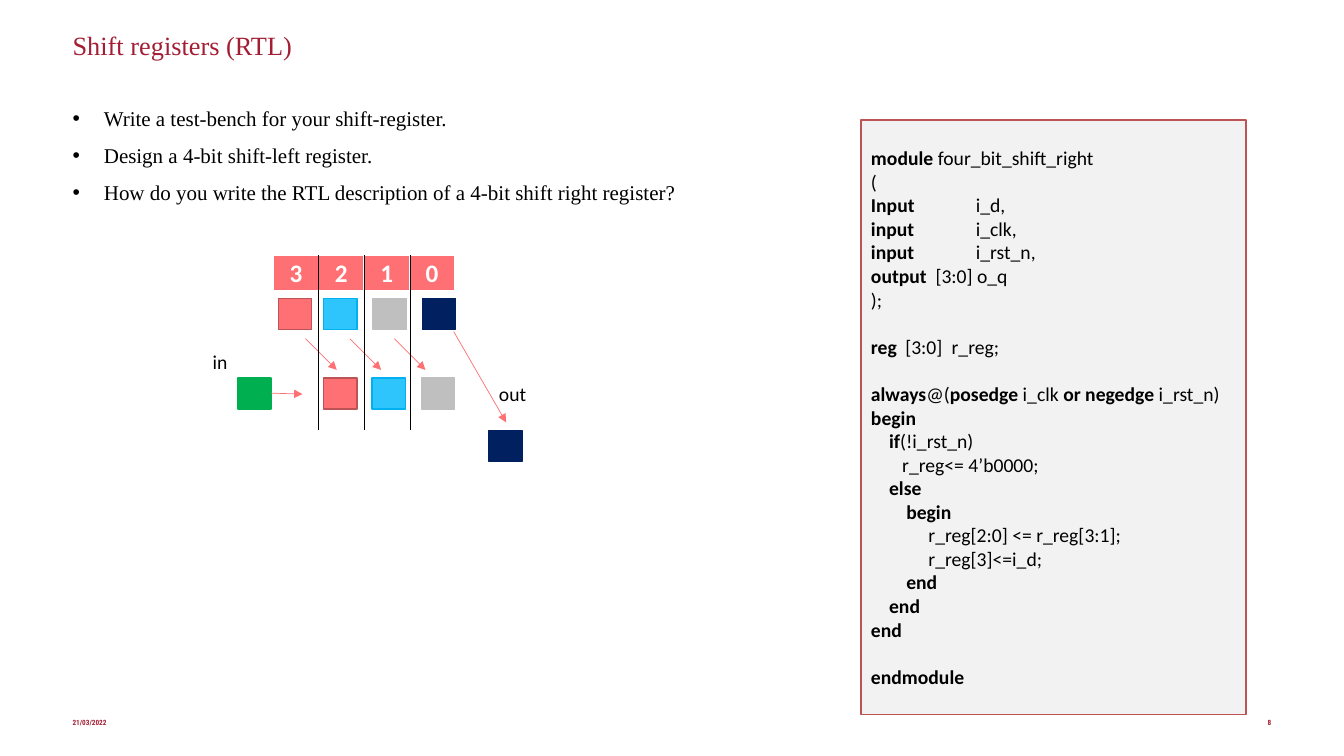
from lxml import etree
from pptx import Presentation
from pptx.dml.color import RGBColor
from pptx.enum import shapes, text
from pptx.oxml import ns
from pptx.util import Inches, Pt

CRIMSON = RGBColor(0xA3, 0x1E, 0x34)
BLACK = RGBColor(0, 0, 0)
WHITE = RGBColor(0xFF, 0xFF, 0xFF)
PANEL = RGBColor(0xF2, 0xF2, 0xF2)
CORAL = RGBColor(0xFE, 0x70, 0x73)
BRICK = RGBColor(0xBC, 0x53, 0x55)
SKY = RGBColor(0x2D, 0xC5, 0xFC)
BLUE = RGBColor(0x00, 0xB0, 0xF0)
GREY = RGBColor(0xBF, 0xBF, 0xBF)
NAVY = RGBColor(0x00, 0x20, 0x60)
GREEN = RGBColor(0x00, 0xB0, 0x50)

SERIF, SANS, CONDENSED = "Times New Roman", "Calibri", "Roboto Condensed"

QUESTIONS = [
    "Write a test-bench for your shift-register.",
    "Design a 4-bit shift-left register.",
    "How do you write the RTL description of a 4-bit shift right register?",
]

# Indent, tab stops, blank line above, and text with bold parts between asterisks
CODE = [
    (0, [], False, "*module* four_bit_shift_right"),
    (0, [], False, "("),
    (0, [1.04], False, "*Input*\ti_d,"),
    (0, [1.04], False, "*input*\ti_clk,"),
    (0, [1.04], False, "*input*\ti_rst_n,"),
    (0, [0.64], False, "*output*\t[3:0] o_q"),
    (0, [], False, ");"),
    (0, [0.34, 0.8], True, "*reg*\t[3:0]\tr_reg;"),
    (0, [], True, "*always*@(*posedge* i_clk *or negedge* i_rst_n)"),
    (0, [], False, "*begin*"),
    (0.18, [], False, "*if*(!i_rst_n)"),
    (0.31, [], False, "r_reg<= 4’b0000;"),
    (0.18, [], False, "*else*"),
    (0.35, [], False, "*begin*"),
    (0.57, [], False, "r_reg[2:0] <= r_reg[3:1];"),
    (0.57, [], False, "r_reg[3]<=i_d;"),
    (0.35, [], False, "*end*"),
    (0.18, [], False, "*end*"),
    (0, [], False, "*end*"),
    (0, [], True, "*endmodule*"),
]


def add_xml(parent, tag, **attributes):
    return etree.SubElement(parent, ns.qn(tag), attributes)


def style(paragraph, font, size, color, bold=False):
    for run in paragraph.runs:
        run.font.name, run.font.size, run.font.bold = font, Pt(size), bold
        run.font.color.rgb = color


def add_lines(slide, box, lines, font, size, color, bold=False, inset=0, wrap=True):
    """Add a text box with one paragraph per line and return its paragraphs."""
    frame = slide.shapes.add_textbox(*map(Inches, box)).text_frame
    frame.word_wrap = wrap
    frame.margin_left = frame.margin_right = Inches(inset)
    frame.margin_top = frame.margin_bottom = Inches(inset / 2)
    frame.text = "\n".join(lines)
    for paragraph in frame.paragraphs:
        style(paragraph, font, size, color, bold)
    return frame.paragraphs


def add_rectangle(slide, box, fill, outline):
    rectangle = slide.shapes.add_shape(shapes.MSO_SHAPE.RECTANGLE, *map(Inches, box))
    rectangle.shadow.inherit = False
    rectangle.fill.solid()
    rectangle.fill.fore_color.rgb = fill
    rectangle.line.color.rgb = outline
    rectangle.line.width = Pt(1)
    return rectangle


def add_line(slide, start, end, color, arrow=False):
    line = slide.shapes.add_connector(
        shapes.MSO_CONNECTOR.STRAIGHT, *map(Inches, (*start, *end)))
    line.line.color.rgb = color
    line.line.width = Pt(0.5)
    if arrow:
        add_xml(line.line._get_or_add_ln(), "a:tailEnd", type="triangle")
    add_xml(line._element.spPr, "a:effectLst")


def add_heading(slide, box):
    title, = add_lines(slide, box, ["Shift registers (RTL)"], SERIF, 18.8, CRIMSON)
    title.line_spacing = Pt(20.2)


def add_questions(slide, box):
    for question in add_lines(slide, box, QUESTIONS, SERIF, 15, BLACK):
        question.line_spacing = Pt(16.5)
        question.space_after = Pt(9.8)
        properties = question._p.get_or_add_pPr()
        properties.set("marL", str(Inches(0.31)))
        properties.set("indent", str(Inches(-0.31)))
        add_xml(properties, "a:buFont", typeface="Arial")
        add_xml(properties, "a:buChar", char="•")


def add_footer(slide, box):
    left, top, width, height = box
    part = 3
    add_lines(slide, (left, top, part, height), ["21/03/2022"],
              CONDENSED, 5.2, CRIMSON, True)
    number, = add_lines(slide, (left + width - part, top, part, height), ["8"],
                        CONDENSED, 5.2, CRIMSON, True)
    number.alignment = text.PP_ALIGN.RIGHT


def add_code(slide, box):
    frame = add_rectangle(slide, box, PANEL, BRICK).text_frame
    frame.word_wrap = True
    frame.vertical_anchor = text.MSO_ANCHOR.MIDDLE
    for index, (indent, stops, gap, code) in enumerate(CODE):
        line = frame.add_paragraph() if index else frame.paragraphs[0]
        line.alignment = text.PP_ALIGN.LEFT
        if gap:
            line.space_before = Pt(17)
        properties = line._p.get_or_add_pPr()
        properties.set("marL", str(Inches(indent)))
        if stops:
            tabs = add_xml(properties, "a:tabLst")
            for stop in stops:
                add_xml(tabs, "a:tab", pos=str(Inches(stop)), algn="l")
        for position, part in enumerate(code.split("*")):
            if part:
                line.add_run().text = part
                line.runs[-1].font.bold = position % 2 == 1
        for run in line.runs:
            run.font.name, run.font.size = SANS, Pt(14)
            run.font.color.rgb = BLACK


def add_bit_numbers(slide, box):
    grid = slide.shapes.add_table(1, 4, *map(Inches, box)).table
    for column, bit in enumerate("3210"):
        grid.columns[column].width = Inches(box[2] / 4)
        cell = grid.cell(0, column)
        cell.text = bit
        cell.margin_top = cell.margin_bottom = Inches(0.03)
        cell.vertical_anchor = text.MSO_ANCHOR.MIDDLE
        number = cell.text_frame.paragraphs[0]
        number.alignment = text.PP_ALIGN.CENTER
        style(number, SANS, 18, WHITE, True)
        properties = cell._tc.get_or_add_tcPr()
        for side, points in (("L", 1), ("R", 1), ("T", 1), ("B", 3)):
            border = add_xml(properties, f"a:ln{side}", w=str(Pt(points)))
            add_xml(add_xml(border, "a:solidFill"), "a:srgbClr", val=str(WHITE))
        cell.fill.solid()
        cell.fill.fore_color.rgb = CORAL


def add_shift_diagram(slide, box):
    """Show the four bits before and after one shift to the right."""
    left, top, width, height = box
    before, after, shifted_out = top + 0.43, top + 1.22, top + 1.74
    coral, sky, grey, navy, green = (
        (CORAL, BRICK), (SKY, BLUE), (GREY, GREY), (NAVY, NAVY), (GREEN, GREEN))
    bits = [
        (0.75, before, coral), (1.2, before, sky),
        (1.69, before, grey), (2.18, before, navy),
        (0.35, after, green), (1.2, after, coral),
        (1.68, after, sky), (2.17, after, grey),
        (2.84, shifted_out, navy),
    ]
    for x, y, colors in bits:
        add_rectangle(slide, (left + x, y, 0.33, 0.31), *colors)

    arrows = [(1.02 + 0.44 * step, 0.83, 0.31, 0.31) for step in range(3)]
    arrows += [(2.49, 0.76, 0.52, 0.9), (0.68, 1.37, 0.31, 0.01)]
    for x, y, run, drop in arrows:
        start = left + x, top + y
        add_line(slide, start, (start[0] + run, start[1] + drop), CORAL, arrow=True)

    add_bit_numbers(slide, (left + 0.7, top, 1.8, 0.37))
    for divider in range(3):
        x = left + 1.15 + 0.455 * divider
        add_line(slide, (x, top), (x, top + 1.74), BLACK)

    for label, x, y, label_width in (("out", 2.84, 1.21, 0.48), ("in", 0, 0.89, 0.35)):
        add_lines(slide, (left + x, top + y, label_width, 0.34), [label],
                  SANS, 14, BLACK, inset=0.1, wrap=False)


def main():
    deck = Presentation()
    deck.slide_width, deck.slide_height = Inches(13.33), Inches(7.5)
    slide = deck.slides.add_slide(deck.slide_layouts[6])
    add_heading(slide, (0.72, 0.32, 11.89, 0.75))
    add_questions(slide, (0.72, 1.07, 11.89, 4.71))
    add_footer(slide, (0.72, 7.13, 11.89, 0.22))
    add_code(slide, (8.54, 1.19, 3.82, 5.9))
    add_shift_diagram(slide, (2.01, 2.53, 3.32, 2.05))
    deck.save("out.pptx")


if __name__ == "__main__":
    main()
